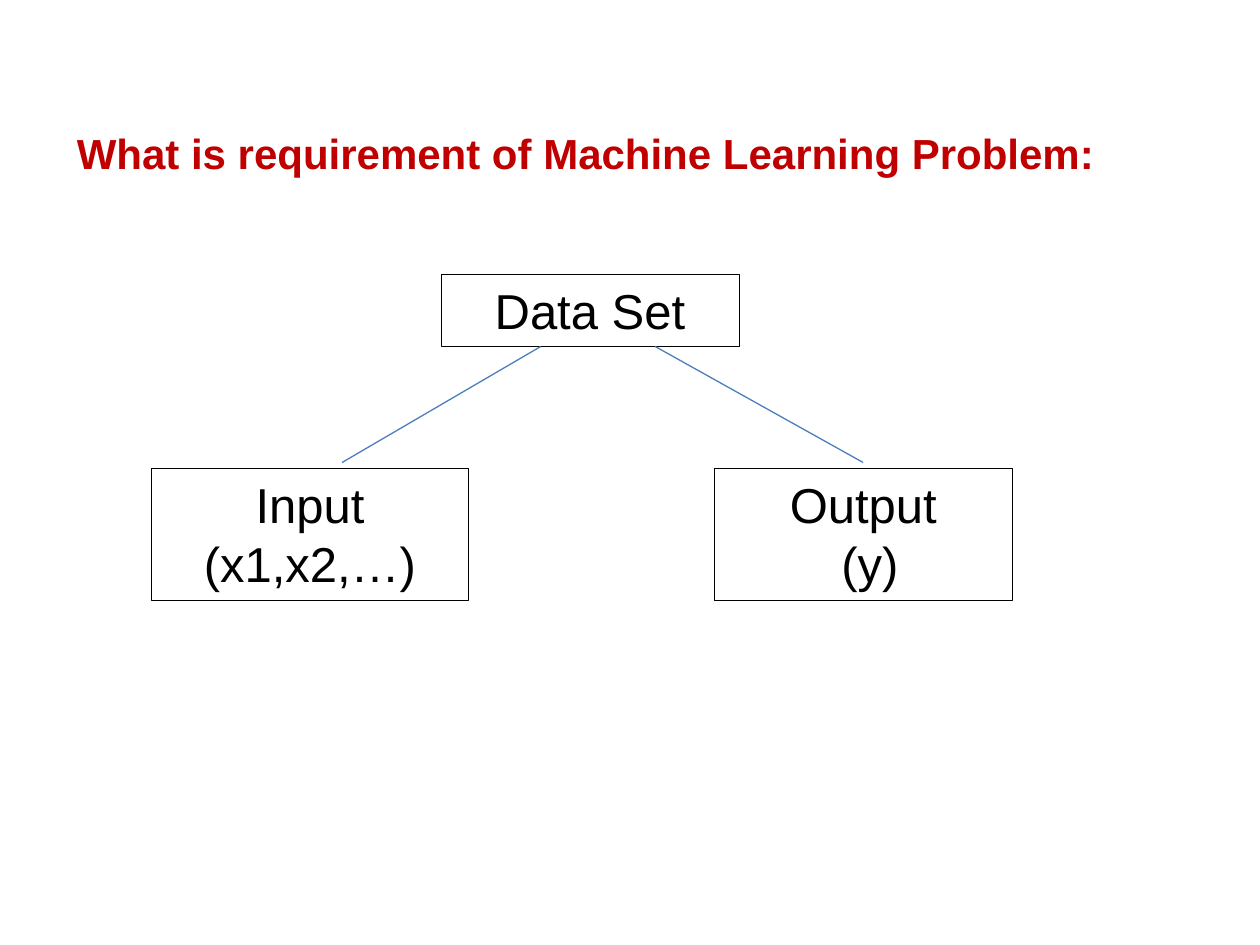
import dataclasses

import pptx
import pptx.dml.color
import pptx.enum.shapes
import pptx.enum.text
import pptx.oxml.ns
import pptx.util
from lxml import etree

Pt = pptx.util.Pt
RGB = pptx.dml.color.RGBColor
ALIGN = pptx.enum.text.PP_ALIGN
ANCHOR = pptx.enum.text.MSO_ANCHOR


@dataclasses.dataclass(frozen=True)
class Theme:
    font: str = "Arial"
    title_color: RGB = RGB(0xC0, 0x00, 0x00)
    ink: RGB = RGB(0x00, 0x00, 0x00)
    branch_color: RGB = RGB(0x4B, 0x7E, 0xBC)
    title_size: float = 24
    box_size: float = 28
    box_border: float = 0.25
    branch_width: float = 0.75


class SlideBuilder:
    """Draws styled elements on one slide; all lengths are in points."""

    def __init__(self, slide, theme):
        self.slide = slide
        self.theme = theme

    def style_text(self, paragraph, size, color, align, bold=False):
        paragraph.alignment = align
        paragraph.font.name = self.theme.font
        paragraph.font.size = Pt(size)
        paragraph.font.bold = bold
        paragraph.font.color.rgb = color

    def title(self, text, left, top, width, height):
        heading = self.slide.shapes.title
        heading.left, heading.top = Pt(left), Pt(top)
        heading.width, heading.height = Pt(width), Pt(height)
        frame = heading.text_frame
        frame.text = text
        frame.vertical_anchor = ANCHOR.MIDDLE
        self.style_text(frame.paragraphs[0], self.theme.title_size,
                        self.theme.title_color, ALIGN.LEFT, bold=True)

    def box(self, text, left, top, width, height):
        node = self.slide.shapes.add_shape(
            pptx.enum.shapes.MSO_SHAPE.RECTANGLE,
            Pt(left), Pt(top), Pt(width), Pt(height))
        node.shadow.inherit = False
        node.fill.background()
        node.line.color.rgb = self.theme.ink
        node.line.width = Pt(self.theme.box_border)
        frame = node.text_frame
        frame.word_wrap = True
        frame.auto_size = pptx.enum.text.MSO_AUTO_SIZE.SHAPE_TO_FIT_TEXT
        frame.vertical_anchor = ANCHOR.TOP
        frame.text = text
        for paragraph in frame.paragraphs:
            self.style_text(paragraph, self.theme.box_size,
                            self.theme.ink, ALIGN.CENTER)

    def branch(self, start, end):
        line = self.slide.shapes.add_connector(
            pptx.enum.shapes.MSO_CONNECTOR.STRAIGHT,
            *(Pt(value) for value in (*start, *end)))
        line.line.color.rgb = self.theme.branch_color
        line.line.width = Pt(self.theme.branch_width)
        etree.SubElement(line._element.spPr, pptx.oxml.ns.qn("a:effectLst"))


def main():
    deck = pptx.Presentation()
    deck.slide_width, deck.slide_height = Pt(720), Pt(540)
    title_only = deck.slide_layouts[5]
    builder = SlideBuilder(deck.slides.add_slide(title_only), Theme())

    builder.title("What is requirement of Machine Learning Problem:",
                  36.7, 42, 665, 90)

    root_top, root_height = 156.8, 41.2
    root_bottom = root_top + root_height
    leaf_top, leaf_height = 267.8, 75.2
    branch_end = 264.3

    builder.box("Data Set", 252, root_top, 170.2, root_height)
    for start_x, end_x in ((309, 195.5), (374.4, 493.2)):
        builder.branch((start_x, root_bottom), (end_x, branch_end))
    for text, left, width in (("Input (x1,x2,…)", 86.4, 181.4),
                              ("Output\n (y)", 408.2, 170.2)):
        builder.box(text, left, leaf_top, width, leaf_height)

    deck.save("out.pptx")


if __name__ == "__main__":
    main()
